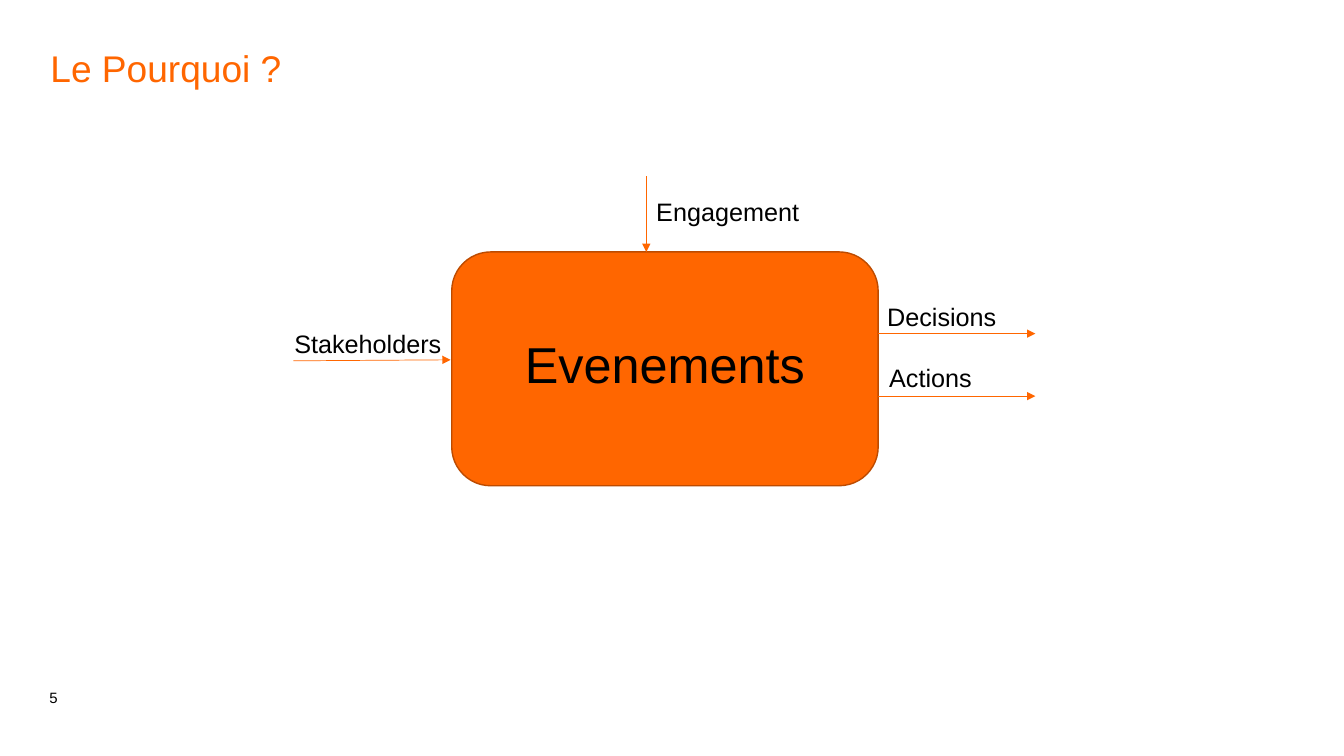
"""Build the slide that shows what goes into and comes out of events."""
from lxml import etree
from pptx import Presentation
from pptx.dml.color import RGBColor
from pptx.enum.shapes import MSO_CONNECTOR, MSO_SHAPE
from pptx.enum.text import MSO_ANCHOR, PP_ALIGN
from pptx.oxml.ns import qn
from pptx.util import Inches, Pt

ORANGE = RGBColor(0xFF, 0x66, 0x00)
RUST = RGBColor(0xBD, 0x4B, 0x00)
BLACK = RGBColor(0, 0, 0)
STRAIGHT = MSO_CONNECTOR.STRAIGHT
ROUND = MSO_SHAPE.ROUNDED_RECTANGLE
TOP, BOTTOM = MSO_ANCHOR.TOP, MSO_ANCHOR.BOTTOM
CENTER = PP_ALIGN.CENTER
WIDE, HIGH = Inches(13.33), Inches(7.5)

LABELS = [
    ("Stakeholders", 21.16, 42.8),
    ("Actions", 65.42, 47.33),
    ("Decisions", 65.27, 39.2),
    ("Engagement", 48.09, 25.33),
]
ARROWS = [
    (65.34, 44.13, 77.04, 44.13),
    (65.34, 52.4, 77.04, 52.4),
    (21.83, 47.73, 33.53, 47.6),
    (48.09, 23.33, 48.09, 33.33),
]


def scale(spots):
    """Turn x, y pairs in percent of the slide into lengths."""
    return [round(s * (HIGH if i % 2 else WIDE) / 100)
            for i, s in enumerate(spots)]


def assign(item, values):
    """Set each named attribute of an item."""
    for name, value in values.items():
        setattr(item, name, value)


def add_text(slide, text, spots, size, color=BLACK, frame=None, para=None):
    """Add a text box with one paragraph."""
    body = slide.shapes.add_textbox(*scale(spots)).text_frame
    assign(body, {"word_wrap": True, "vertical_anchor": TOP, **(frame or {})})
    line = body.paragraphs[0]
    assign(line, para or {})
    run = line.add_run()
    run.text = text
    assign(run.font, {"name": "Arial", "size": Pt(size)})
    run.font.color.rgb = color


def add_block(slide, spots):
    """Add the rounded block."""
    block = slide.shapes.add_shape(ROUND, *scale(spots))
    block.shadow.inherit = False
    block.fill.solid()
    block.fill.fore_color.rgb = ORANGE
    block.line.color.rgb = RUST
    block.line.width = Pt(1)


def add_arrow(slide, spots):
    """Add a thin line with an arrowhead at its end."""
    arrow = slide.shapes.add_connector(STRAIGHT, *scale(spots))
    arrow.line.color.rgb = ORANGE
    arrow.line.width = Pt(0.5)
    props = arrow.element.spPr
    etree.SubElement(props.find(qn("a:ln")), qn("a:tailEnd"), type="triangle")
    etree.SubElement(props, qn("a:effectLst"))


def main():
    """Build and save the slide."""
    deck = Presentation()
    assign(deck, {"slide_width": WIDE, "slide_height": HIGH})
    slide = deck.slides.add_slide(deck.slide_layouts[6])
    flush = dict.fromkeys(
        ("margin_left", "margin_top", "margin_right", "margin_bottom"), 0)
    add_text(slide, "5", (3.68, 86.93, 3, 6.53), 10.7,
             frame={**flush, "vertical_anchor": BOTTOM},
             para={"line_spacing": 0.85, "space_after": Pt(16)})
    add_text(slide, "Le Pourquoi ?", (3.75, 6.67, 92.65, 12.13), 26.5, ORANGE,
             frame=flush, para={"line_spacing": 0.9})
    add_block(slide, (33.61, 33.33, 31.73, 30.93))
    add_text(slide, "Evenements", (38.11, 43.47, 22.73, 9.47), 36,
             para={"alignment": CENTER})
    for spots in ARROWS:
        add_arrow(slide, spots)
    for text, left, top in LABELS:
        add_text(slide, text, (left, top, 13.73, 5.33), 18)
    deck.save("out.pptx")


if __name__ == "__main__":
    main()
